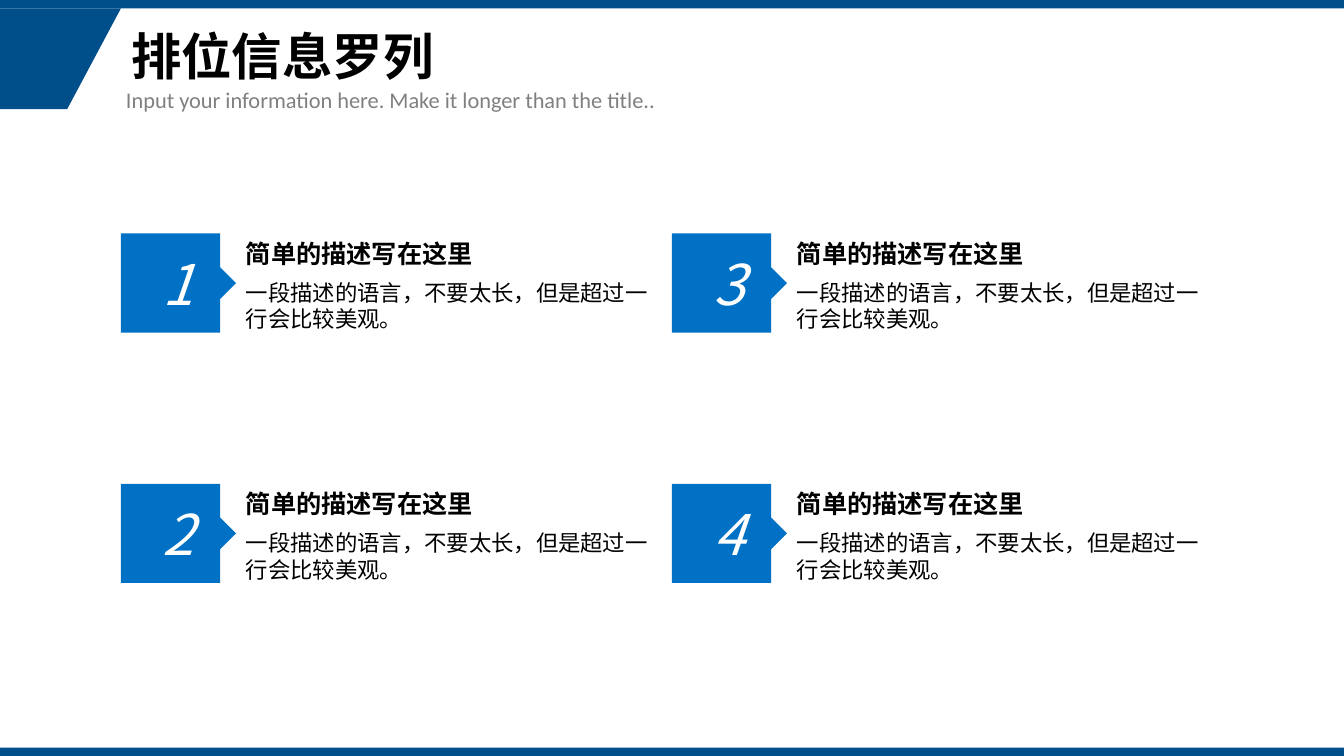
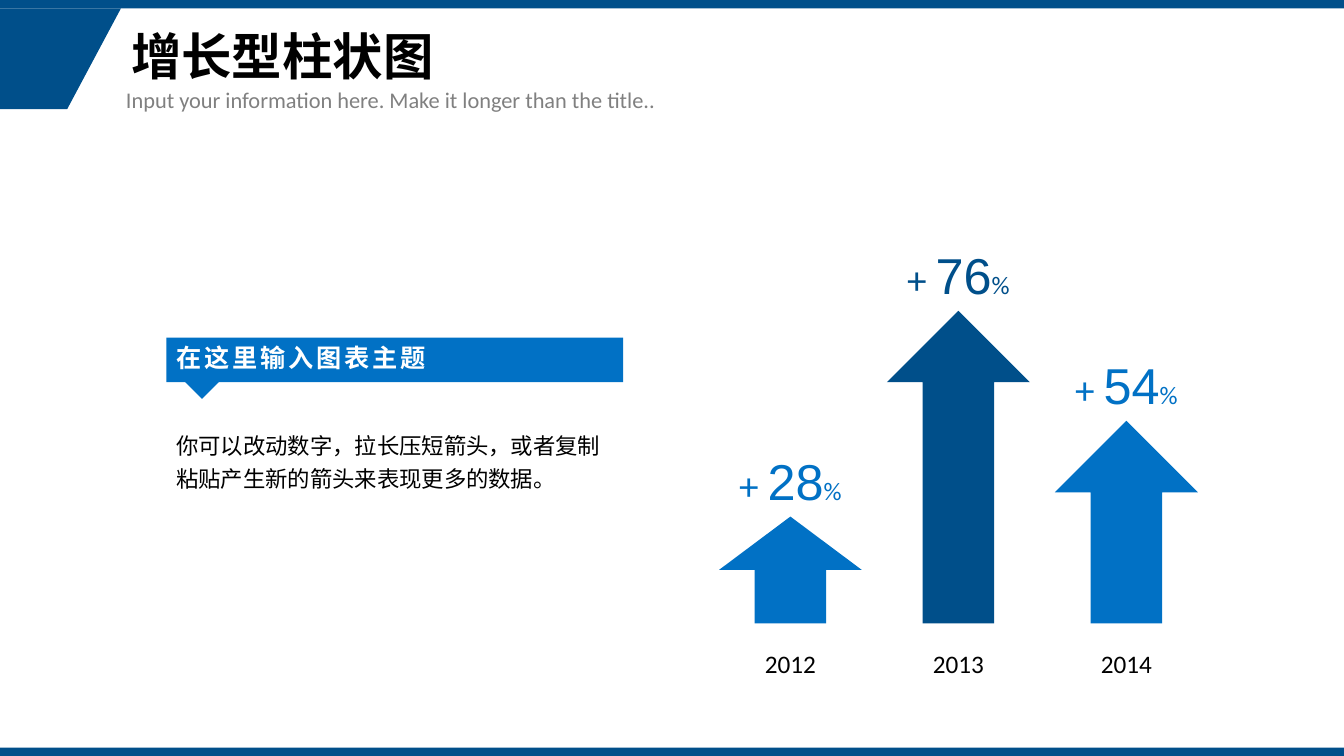
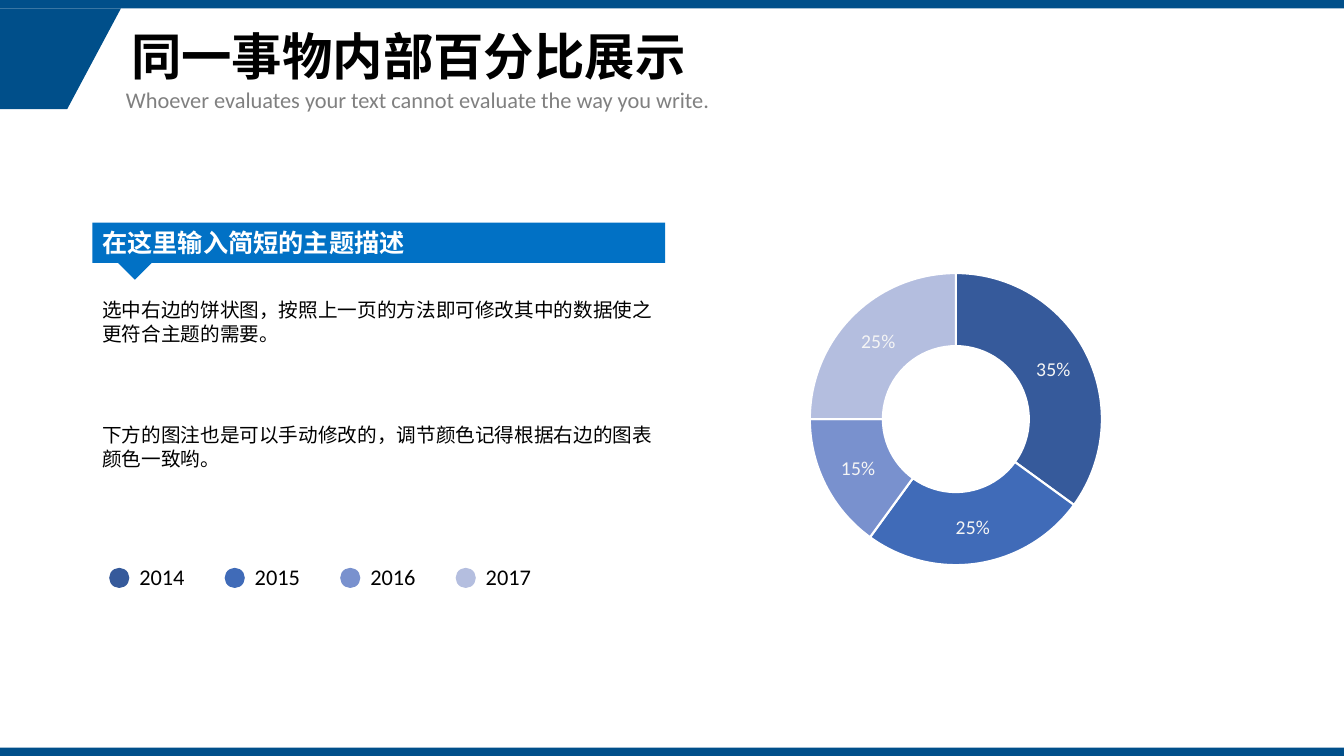
"""Build three blue report slides: a numbered list, growth arrows and a doughnut chart."""
from dataclasses import dataclass

from lxml import etree
from pptx import Presentation
from pptx import util as u
from pptx.chart.data import CategoryChartData
from pptx.dml.color import RGBColor
from pptx.enum import chart as ct, shapes as sh, text as tx
from pptx.oxml import parse_xml
from pptx.oxml.ns import nsdecls, qn


@dataclass(frozen=True)
class Theme:
    deep: str = "004F8A"
    blue: str = "0171C5"
    ink: str = "000000"
    gray: str = "808080"
    pale: str = "F5F5F5"
    white: str = "FFFFFF"
    ring: tuple = ("365A9B", "406BB8", "7991CE", "B4BEDF")
    han: str = "Noto Sans CJK SC"
    latin: str = "Calibri"
    digit: str = "Arial"
    title: int = 36
    mark: int = 40
    plus: int = 28
    head: int = 18
    body: int = 16
    note: int = 14


T = Theme()
COLS, ROWS = 160, 90
deck = Presentation()
deck.slide_height = u.Inches(7.5)
CELL = deck.slide_height // ROWS
deck.slide_width = COLS * CELL
KIND = sh.MSO_SHAPE
ALIGN = tx.PP_ALIGN
ANCHOR = tx.MSO_ANCHOR


def place(page, kind, box, fill=None):
    """Add a preset shape, an outline or a text box at grid cells."""
    x, y, w, h = [round(n * CELL) for n in box]
    if kind is None:
        return page.shapes.add_textbox(x, y, w, h)
    if isinstance(kind, list):
        dots = [(x + round(a * CELL), y + round(b * CELL)) for a, b in kind]
        pen = page.shapes.build_freeform(*dots[0])
        pen.add_line_segments(dots[1:], close=True)
        form = pen.convert_to_shape()
    else:
        form = page.shapes.add_shape(kind, x, y, w, h)
    form.shadow.inherit = False
    form.fill.solid()
    form.fill.fore_color.rgb = RGBColor.from_string(fill)
    form.line.fill.background()
    return form


def write(form, *bits, color=T.ink, bold=False, italic=False, align=ALIGN.LEFT,
          anchor=ANCHOR.TOP, wrap=True, lead=1.0, track=0):
    """Fill a shape with one paragraph of (text, size, face) bits."""
    frame = form.text_frame
    frame.auto_size = tx.MSO_AUTO_SIZE.NONE
    frame.word_wrap, frame.vertical_anchor = wrap, anchor
    para = frame.paragraphs[0]
    para.alignment, para.line_spacing = align, lead
    para.space_before = u.Pt(0)
    for words, size, face in bits:
        run = para.add_run()
        run.text = words
        font = run.font
        font.size, font.name, font.bold, font.italic = u.Pt(size), face, bold, italic
        font.color.rgb = RGBColor.from_string(color)
        props = run._r.get_or_add_rPr()
        etree.SubElement(props, qn("a:ea")).set("typeface", face)
        if track:
            props.set("spc", str(track * 100))


layout = deck.slide_layouts[1]
spots = {0: (14.4, 1, 134.6, 12), 1: (13.8, 9.6, 93.6, 4.4)}
for hole in layout.placeholders:
    kind = hole.placeholder_format.idx
    if kind in spots:
        hole.left, hole.top, hole.width, hole.height = [round(n * CELL) for n in spots[kind]]

hint = "Input your information here. Make it longer than the title.."
heads = [
    ("排位信息罗列", hint),
    ("增长型柱状图", hint),
    ("同一事物内部百分比展示", "Whoever evaluates your text cannot evaluate the way you write."),
]
pages = []
for name, sub in heads:
    page = deck.slides.add_slide(layout)
    write(page.shapes.title, (name, T.title, T.han), bold=True, anchor=ANCHOR.MIDDLE, lead=0.9)
    line = page.placeholders[1]
    props = line.text_frame.paragraphs[0]._p.get_or_add_pPr()
    props.set("marL", "0")
    props.set("indent", "0")
    etree.SubElement(props, qn("a:buNone"))
    write(line, (sub, T.body, T.latin), color=T.gray)
    pages.append(page)
rank, growth, share = pages

bands = [
    ([(0, 0), (14.4, 0), (8, 12), (0, 12)], (0, 1, 0, 0)),
    (KIND.RECTANGLE, (0, 0, COLS, 1)),
    (KIND.RECTANGLE, (0, ROWS - 1, COLS, 1)),
]
for n, (kind, box) in enumerate(bands):
    band = place(rank, kind, box, T.deep)
    band.element.nvSpPr.cNvPr.set("id", str(20 + n))
    layout.shapes.element.insert(2 + n, band.element)

side, tip = 11.8, 13.7
mid, half = side / 2, tip - side
flag = [(0, 0), (side, 0), (side, mid - half), (tip, mid), (side, mid + half), (side, side), (0, side)]
for n in range(4):
    x, y = 14.4 + n // 2 * 65.6, 27.8 + n % 2 * 29.8
    tag = place(rank, flag, (x, y, 0, 0), T.blue)
    write(tag, (str(n + 1), T.mark, T.han), color=T.white, italic=True,
          align=ALIGN.CENTER, anchor=ANCHOR.MIDDLE)
    head = place(rank, None, (x + tip, y, 29.6, 4.8))
    write(head, ("简单的描述写在这里", T.head, T.han), bold=True, wrap=False)
    body = place(rank, None, (x + tip, y + 4.8, 51.8, 7.7))
    write(body, ("一段描述的语言，不要太长，但是超过一行会比较美观。", T.body, T.han))

banners = [
    (growth, "在这里输入图表主题", (19.8, 40.2, 54.4, 5.3), 2.8, 2),
    (share, "在这里输入简短的主题描述", (11, 26.5, 68.2, 4.8), 3.6, 0),
]
for page, words, box, shift, track in banners:
    bar = place(page, KIND.RECTANGLE, box, T.blue)
    write(bar, (words, T.head, T.han), color=T.white, bold=True, track=track)
    nib = place(page, KIND.RIGHT_TRIANGLE, (box[0] + shift, box[1] + box[3] - 1.5, 2.9, 2.9), T.blue)
    nib.rotation = 315

base, wide = 74.2, 17
bars = [("2012", "28", 12.7, T.blue), ("2013", "76", 37.2, T.deep), ("2014", "54", 24.1, T.blue)]
for n, (year, value, tall, color) in enumerate(bars):
    x, y = 85.6 + 20 * n, base - tall
    place(growth, KIND.UP_ARROW, (x, y, wide, tall), color)
    label = place(growth, None, (x, y - 8.5, wide, 8.5))
    write(label, ("+ ", T.plus, T.latin), (value, T.title, T.digit), ("%", T.head, T.latin),
          color=color, align=ALIGN.CENTER, wrap=False)
    date = place(growth, None, (x, base + 2.4, wide, 4.8))
    write(date, (year, T.head, T.latin), align=ALIGN.CENTER, wrap=False)
body = place(growth, None, (19.8, 50, 54.4, 9.2))
write(body, ("你可以改动数字，拉长压短箭头，或者复制粘贴产生新的箭头来表现更多的数据。", T.body, T.han), lead=1.25)

notes = [
    "选中右边的饼状图，按照上一页的方法即可修改其中的数据使之更符合主题的需要。",
    "下方的图注也是可以手动修改的，调节颜色记得根据右边的图表颜色一致哟。",
]
for n, words in enumerate(notes):
    note = place(share, None, (11, 34.9 + 14.9 * n, 68.2, 6.8))
    write(note, (words, T.note, T.han))

for n, color in enumerate(T.ring):
    x = 13 + 13.75 * n
    place(share, KIND.OVAL, (x, 67.6, 2.4, 2.4), color)
    key = place(share, None, (x + 2.4, 66.5, 7.9, 4.4))
    write(key, (str(2014 + n), T.body, T.latin), wrap=False)

data = CategoryChartData(number_format="0%")
data.categories = ["1", "2", "3", "4"]
data.add_series("Series 1", (0.35, 0.25, 0.15, 0.25))
spot = [round(n * CELL) for n in (94.9, 31, 37.8, 37.8)]
chart = share.shapes.add_chart(ct.XL_CHART_TYPE.DOUGHNUT, *spot, data).chart
chart.has_title = chart.has_legend = False
chart.font.size, chart.font.name = u.Pt(10), T.latin
chart.font.color.rgb = RGBColor.from_string(T.ink)
plot = chart.plots[0]
plot.vary_by_categories = True
plot.has_data_labels = True
tags = plot.data_labels
tags.show_value, tags.show_percentage = True, False
tags.number_format, tags.number_format_is_linked = "0%", False
tags.font.size, tags.font.name = u.Pt(T.note), T.latin
tags.font.color.rgb = RGBColor.from_string(T.pale)
for n, color in enumerate(T.ring):
    style = plot.series[0].points[n].format
    style.fill.solid()
    style.fill.fore_color.rgb = RGBColor.from_string(color)
    style.line.color.rgb = RGBColor.from_string(T.white)
    style.line.width = u.Pt(1.5)

area = chart.element.find(".//" + qn("c:plotArea"))
for old in area.findall(qn("c:layout")):
    area.remove(old)
rules = [("layoutTarget", "inner"), ("xMode", "edge"), ("yMode", "edge"),
         ("x", 0.04), ("y", 0.04), ("w", 0.92), ("h", 0.92)]
inner = "".join(f'<c:{key} val="{val}"/>' for key, val in rules)
area.insert(0, parse_xml(f'<c:layout {nsdecls("c")}><c:manualLayout>{inner}</c:manualLayout></c:layout>'))
area.find(".//" + qn("c:holeSize")).set("val", "35")

deck.save("out.pptx")
